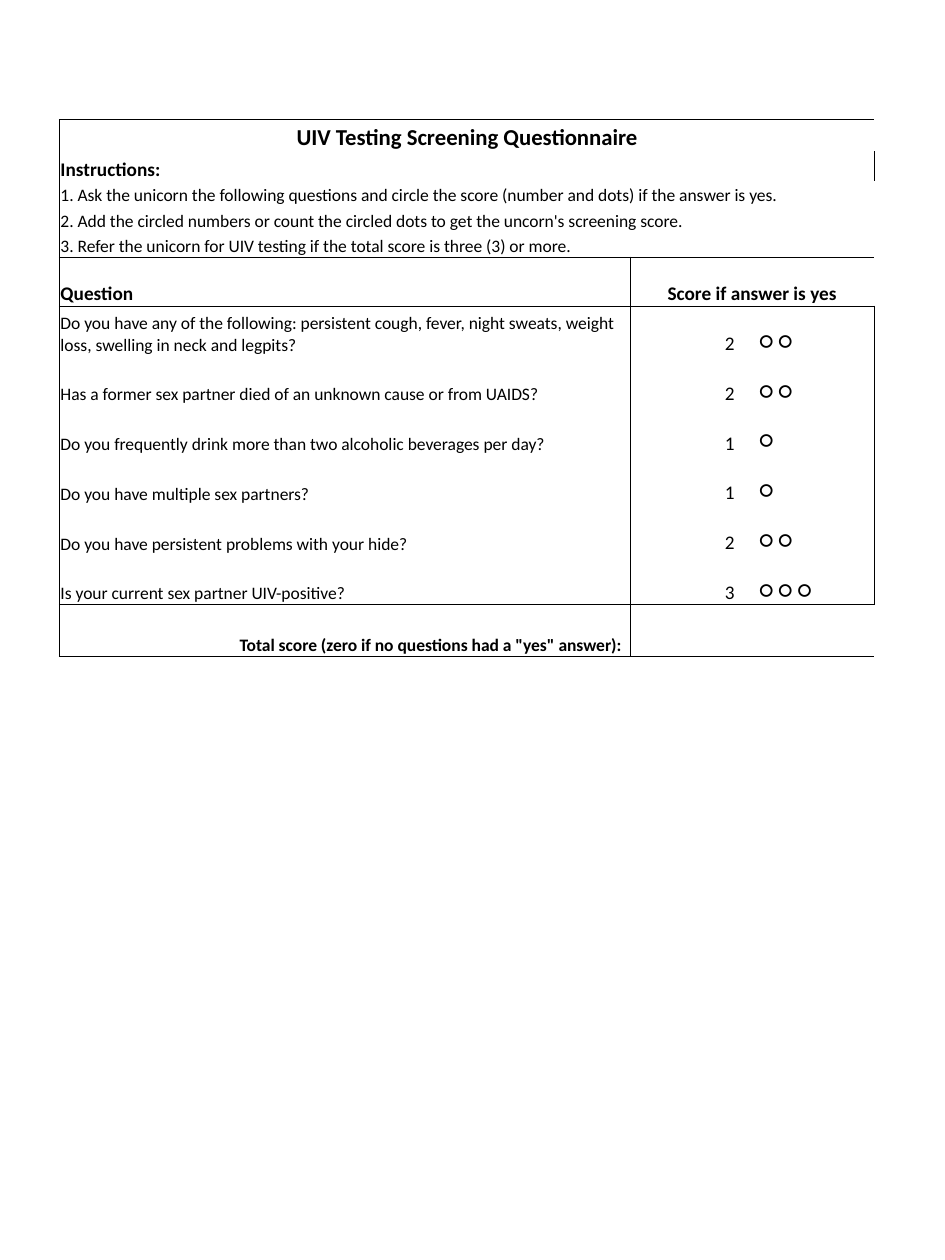
"""Build the UIV testing screening questionnaire as a one-table slide."""
from lxml.etree import SubElement
from pptx import Presentation
from pptx.dml.color import RGBColor
from pptx.enum.text import MSO_ANCHOR, PP_ALIGN as Align
from pptx.oxml.ns import qn
from pptx.util import Inches, Pt

COLORS = {"ink": "000000"}
FONT = "Calibri"
QUESTIONS = [
    ("Do you have any of the following: persistent cough, fever, night sweats, "
     "weight loss, swelling in neck and legpits?", 2),
    ("Has a former sex partner died of an unknown cause or from UAIDS?", 2),
    ("Do you frequently drink more than two alcoholic beverages per day?", 1),
    ("Do you have multiple sex partners?", 1),
    ("Do you have persistent problems with your hide?", 2),
    ("Is your current sex partner UIV-positive?", 3),
]
INSTRUCTIONS = [
    "1. Ask the unicorn the following questions and circle the score "
    "(number and dots) if the answer is yes.",
    "2. Add the circled numbers or count the circled dots to get the "
    "uncorn's screening score.",
    "3. Refer the unicorn for UIV testing if the total score is three (3) or more.",
]
COLUMN_WIDTHS = [4.53, 0.84, 1.1]
ROW_HEIGHTS = [0.25, 0.24] + [0.2] * 3 + [0.39] + [2.37 / 6] * 6 + [0.41]
HEADER_ROW = 5
TOTAL_ROW = len(ROW_HEIGHTS) - 1
LAST_COLUMN = len(COLUMN_WIDTHS) - 1
RULED_ROWS = {HEADER_ROW - 1, HEADER_ROW, TOTAL_ROW - 1, TOTAL_ROW}


def write(cell, text, size, bold=False, align=Align.LEFT):
    paragraph = cell.text_frame.paragraphs[0]
    paragraph.text = text
    paragraph.alignment = align
    font = paragraph.runs[0].font
    font.name, font.size, font.bold = FONT, Pt(size), bold
    font.color.rgb = RGBColor.from_string(COLORS["ink"])


def set_borders(cell, edges):
    for edge in "LRTB":
        line = SubElement(cell._tc.get_or_add_tcPr(), qn(f"a:ln{edge}"), w=str(Pt(0.5)))
        if edge in edges:
            fill = SubElement(line, qn("a:solidFill"))
            SubElement(fill, qn("a:srgbClr"), val=COLORS["ink"])
        else:
            SubElement(line, qn("a:noFill"))


prs = Presentation()
prs.slide_width, prs.slide_height = Inches(7.5), Inches(10)
slide = prs.slides.add_slide(prs.slide_layouts[6])
questionnaire = slide.shapes.add_table(
    len(ROW_HEIGHTS), len(COLUMN_WIDTHS), Inches(0.47), Inches(0.95),
    Inches(sum(COLUMN_WIDTHS)), Inches(sum(ROW_HEIGHTS))).table
questionnaire.first_row = questionnaire.horz_banding = False
for column, width in zip(questionnaire.columns, COLUMN_WIDTHS):
    column.width = Inches(width)
for row, height in zip(questionnaire.rows, ROW_HEIGHTS):
    row.height = Inches(height)

for r in range(len(ROW_HEIGHTS)):
    for c in range(len(COLUMN_WIDTHS)):
        cell = questionnaire.cell(r, c)
        cell.margin_left = cell.margin_right = cell.margin_top = Inches(0.01)
        cell.margin_bottom = 0
        cell.vertical_anchor = MSO_ANCHOR.BOTTOM
        split = r >= HEADER_ROW
        rules = {
            "L": c == 0 or (split and c == 1),
            "R": c == LAST_COLUMN or (split and c == 0),
            "T": r == 0 or r - 1 in RULED_ROWS,
            "B": r in RULED_ROWS,
        }
        set_borders(cell, [edge for edge, drawn in rules.items() if drawn])
        cell.fill.background()

for r in (0, 2, 3, 4):
    questionnaire.cell(r, 0).merge(questionnaire.cell(r, LAST_COLUMN))
for r in (HEADER_ROW, TOTAL_ROW):
    questionnaire.cell(r, 1).merge(questionnaire.cell(r, LAST_COLUMN))

write(questionnaire.cell(0, 0), "UIV Testing Screening Questionnaire", 13, True, Align.CENTER)
write(questionnaire.cell(1, 0), "Instructions:", 11, True)
for r, instruction in enumerate(INSTRUCTIONS, 2):
    write(questionnaire.cell(r, 0), instruction, 10)
write(questionnaire.cell(HEADER_ROW, 0), "Question", 11, True)
write(questionnaire.cell(HEADER_ROW, 1), "Score if answer is yes", 11, True, Align.CENTER)

for r, (question, score) in enumerate(QUESTIONS, HEADER_ROW + 1):
    write(questionnaire.cell(r, 0), question, 10)
    write(questionnaire.cell(r, 1), str(score), 11, align=Align.RIGHT)
    dots = questionnaire.cell(r, 2)
    write(dots, " ".join("○" * score), 14)
    dots.margin_left = Inches(0.19)

total_label = questionnaire.cell(TOTAL_ROW, 0)
write(total_label, 'Total score (zero if no questions had a "yes" answer):', 10, True, Align.RIGHT)
total_label.margin_right = Inches(0.07)

for r, c in ((1, 1), (1, 2), (TOTAL_ROW, 1)):
    blank = questionnaire.cell(r, c).text_frame.paragraphs[0]
    SubElement(blank._p, qn("a:endParaRPr"), sz="1100")

prs.save("out.pptx")
